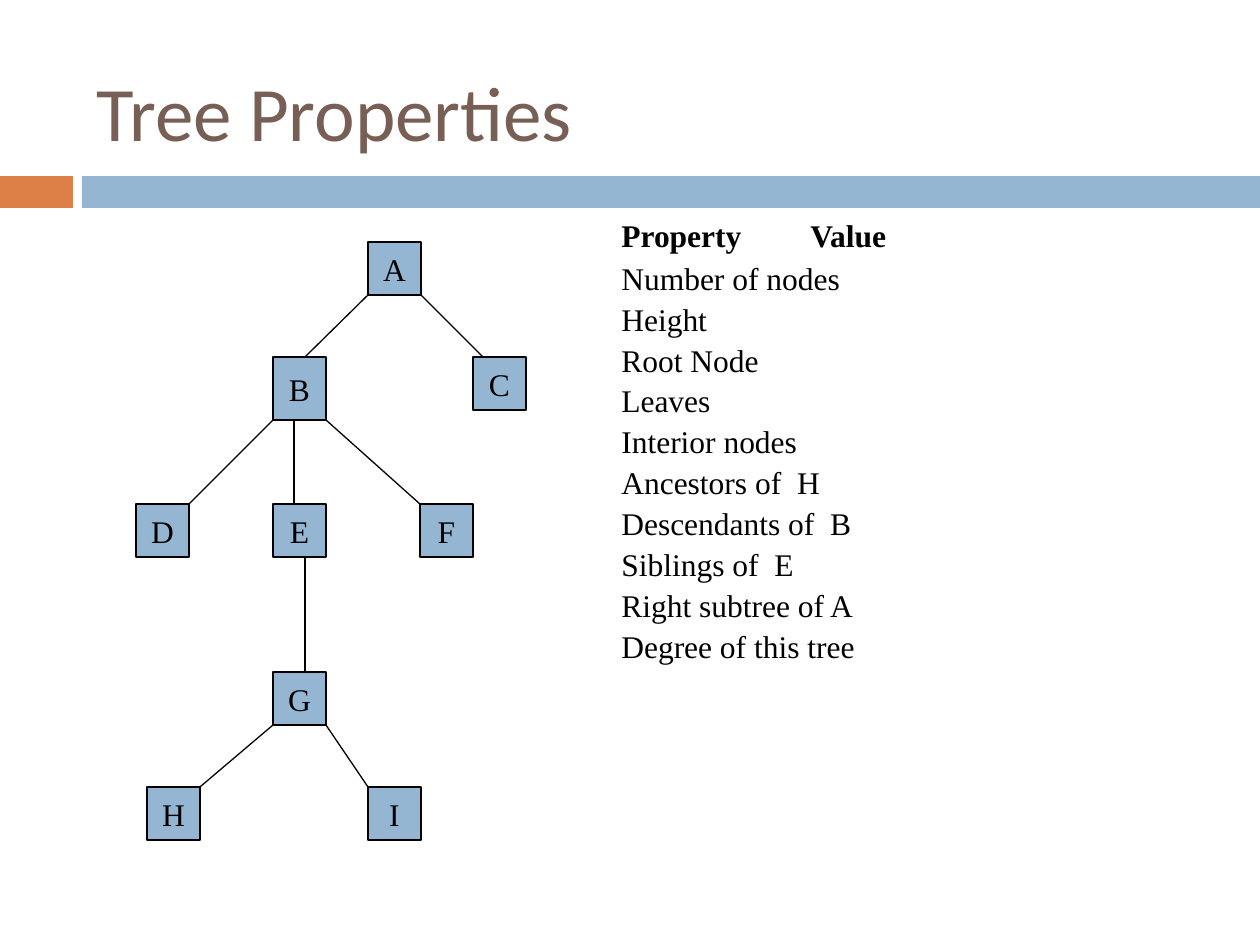
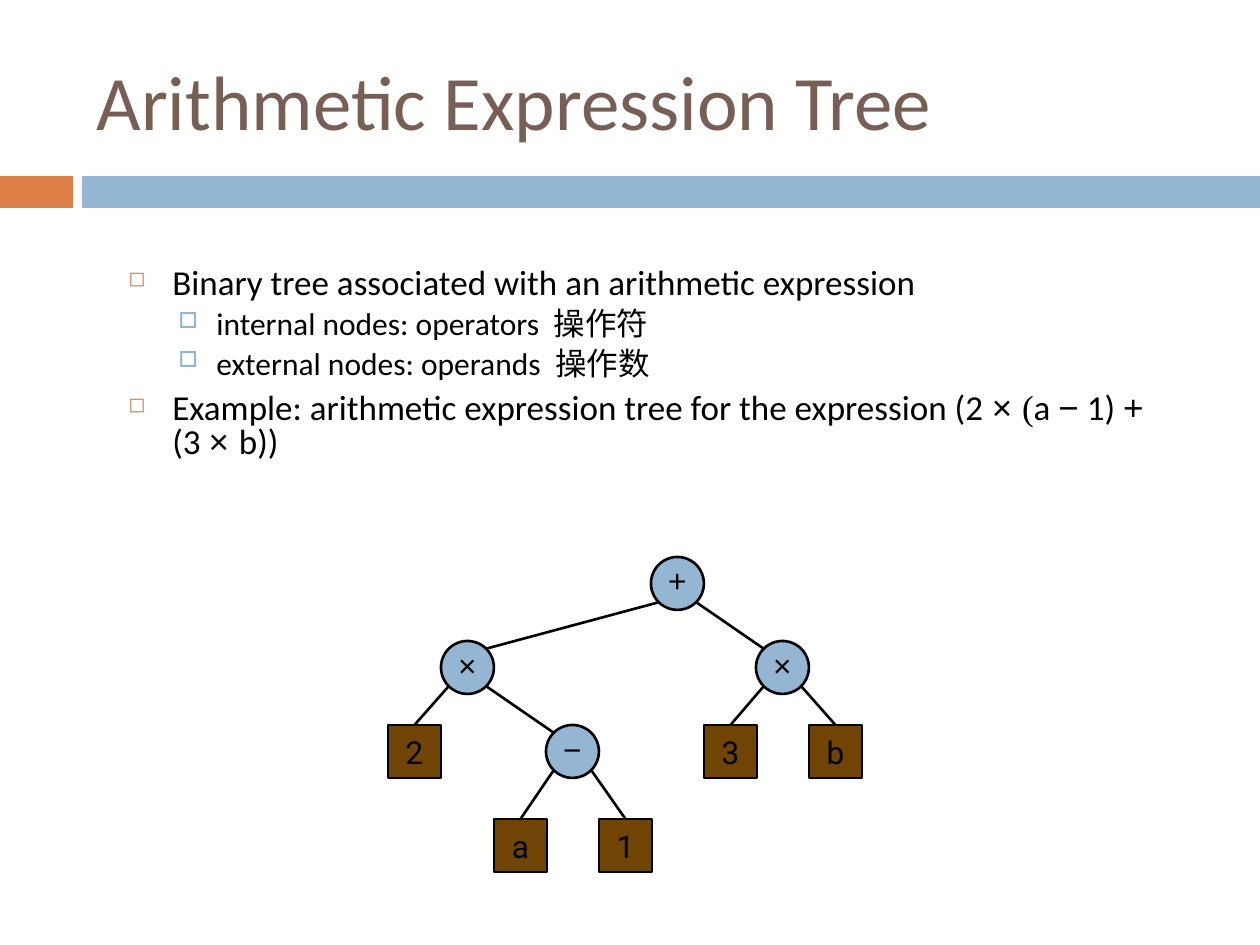
"""Build two slides on trees: tree properties and an arithmetic expression tree."""
import lxml.etree
import pptx
import pptx.dml.color
import pptx.enum.shapes
import pptx.enum.text
import pptx.oxml.ns
import pptx.util

RGBColor = pptx.dml.color.RGBColor
SHAPES = pptx.enum.shapes.MSO_SHAPE
ALIGN = pptx.enum.text.PP_ALIGN
ANCHOR = pptx.enum.text.MSO_ANCHOR

BLACK = RGBColor(0x00, 0x00, 0x00)
BLUE = RGBColor(0x94, 0xB6, 0xD2)
ORANGE = RGBColor(0xDD, 0x80, 0x47)
TAUPE = RGBColor(0x77, 0x5F, 0x55)
BROWN = RGBColor(0x70, 0x44, 0x04)

SANS, SERIF, SYMBOL, LEAF = "Calibri", "Times New Roman", "Arial", "Roboto"
PX_PER_INCH = 126
NODE = 53

BANDS = [((0, 176, 73, 32), ORANGE), ((82, 176, 1178, 32), BLUE)]

PROPERTY_NODES = {
    "A": (368, 242, NODE), "B": (273, 357, 63), "C": (473, 357, NODE),
    "D": (136, 504, NODE), "E": (273, 504, NODE), "F": (420, 504, NODE),
    "G": (273, 672, NODE), "H": (147, 787, NODE), "I": (368, 787, NODE),
}
PROPERTY_EDGES = [
    ("A", "B", 0, 32), ("A", "C", NODE, 10),
    ("B", "D", 0, NODE), ("B", "E", 21, 21), ("B", "F", NODE, 0),
    ("E", "G", 32, 32), ("G", "H", 0, NODE), ("G", "I", NODE, 0),
]
PROPERTY_HEADER = "Property\t\tValue"
PROPERTIES = [
    "Number of nodes", "Height", "Root Node", "Leaves", "Interior nodes",
    "Ancestors of  H", "Descendants of  B", "Siblings of  E",
    "Right subtree of A", "Degree of this tree",
]

BULLETS = [
    (0, [("Binary tree associated with an arithmetic expression", SANS)]),
    (1, [("internal nodes: operators  操作符", SANS)]),
    (1, [("external nodes: operands  操作数", SANS)]),
    (0, [("Example: arithmetic expression tree for the expression (2 ", SANS),
         ("× ", SYMBOL), ("(", SERIF), ("a ", SANS), ("−", SYMBOL),
         (" 1) ", SANS), ("+", SYMBOL), (" (3 ", SANS), ("× ", SYMBOL),
         ("b))", SANS)]),
]
BULLET_LEVELS = [
    dict(size=20, before=7, left=44, hanging=44, mark="◻", color=ORANGE, percent=60),
    dict(size=18, before=5.5, left=88, hanging=38, mark="□", color=BLUE, percent=70),
]

OPERATORS = {
    "sum": ("+", 651, 557), "left product": ("×", 441, 641),
    "right product": ("×", 756, 641), "difference": ("−", 546, 725),
}
OPERANDS = {
    "2": (388, 725), "a": (494, 819), "1": (599, 819),
    "3": (704, 725), "b": (809, 725),
}
EXPRESSION_EDGES = [
    ("sum", "left product", "right product"),
    ("left product", "2", "difference"),
    ("right product", "3", "b"),
    ("difference", "a", "1"),
]


def px(*lengths):
    """Turn px lengths into EMU."""
    return [pptx.util.Emu(round(length * 914400 / PX_PER_INCH)) for length in lengths]


def write(para, text, font=SANS, size=18, color=BLACK, bold=False):
    """Add one formatted span of text to a paragraph."""
    span = para.add_run()
    span.text = text
    span.font.name = font
    span.font.size = pptx.util.Pt(size)
    span.font.color.rgb = color
    span.font.bold = bold


def add_box(page, kind, place, fill, line_width=None):
    """Add a flat filled shape, outlined in black when a line width is given."""
    box = page.shapes.add_shape(kind, *px(*place))
    box.shadow.inherit = False
    box.fill.solid()
    box.fill.fore_color.rgb = fill
    if line_width is None:
        box.line.fill.background()
    else:
        box.line.color.rgb = BLACK
        box.line.width = pptx.util.Pt(line_width)
    return box


def add_node(page, kind, place, text, fill, line_width, font):
    """Add a tree node with a centred label."""
    box = add_box(page, kind, place, fill, line_width)
    frame = box.text_frame
    frame.word_wrap = False
    frame.vertical_anchor = ANCHOR.MIDDLE
    if kind == SHAPES.OVAL:
        frame.margin_left = frame.margin_top = frame.margin_right = 0
        frame.margin_bottom = px(6)[0]
    para = frame.paragraphs[0]
    para.alignment = ALIGN.CENTER
    write(para, text, font=font)
    return box


def add_edge(page, start, end, line_width):
    """Add a straight black line between two px points."""
    edge = page.shapes.add_connector(
        pptx.enum.shapes.MSO_CONNECTOR.STRAIGHT, *px(*start, *end))
    edge.line.color.rgb = BLACK
    edge.line.width = pptx.util.Pt(line_width)
    lxml.etree.SubElement(edge.element.spPr, pptx.oxml.ns.qn("a:effectLst"))
    return edge


def add_paragraphs(page, place, count):
    """Add a wrapping text box and return its paragraphs."""
    frame = page.shapes.add_textbox(*px(*place)).text_frame
    frame.word_wrap = True
    for _ in range(count - 1):
        frame.add_paragraph()
    return frame.paragraphs


def add_page(deck, title, place):
    """Add a slide with the shared title style."""
    page = deck.slides.add_slide(deck.slide_layouts[5])
    box = page.shapes.title
    box.left, box.top, box.width, box.height = px(*place)
    frame = box.text_frame
    frame.auto_size = pptx.enum.text.MSO_AUTO_SIZE.NONE
    frame.vertical_anchor = ANCHOR.MIDDLE
    para = frame.paragraphs[0]
    para.alignment = ALIGN.LEFT
    write(para, title, size=44, color=TAUPE)
    return page


def add_bands(page):
    """Draw the bands and move them to the layout that all slides share."""
    for place, fill in BANDS:
        band = add_box(page, SHAPES.RECTANGLE, place, fill)
        page.slide_layout.shapes.element.append(band.element)


def set_bullet(para, style):
    """Give a paragraph its hanging bullet mark."""
    properties = para._p.get_or_add_pPr()
    left, hanging = px(style["left"], style["hanging"])
    properties.set("marL", str(left))
    properties.set("indent", str(-hanging))
    qn = pptx.oxml.ns.qn
    color = lxml.etree.SubElement(properties, qn("a:buClr"))
    lxml.etree.SubElement(color, qn("a:srgbClr"), val=str(style["color"]))
    lxml.etree.SubElement(properties, qn("a:buSzPct"), val=str(style["percent"] * 1000))
    lxml.etree.SubElement(properties, qn("a:buChar"), char=style["mark"])


def fill_properties(page):
    """Draw the lettered tree and the list of its properties."""
    for letter, (left, top, height) in PROPERTY_NODES.items():
        add_node(page, SHAPES.RECTANGLE, (left, top, NODE, height), letter,
                 BLUE, 0.75, SERIF)
    for parent, child, start_offset, end_offset in PROPERTY_EDGES:
        left, top, height = PROPERTY_NODES[parent]
        child_left, child_top, _ = PROPERTY_NODES[child]
        add_edge(page, (left + start_offset, top + height),
                 (child_left + end_offset, child_top), 0.75)

    header, *rows = add_paragraphs(page, (609, 210, 567, 643), len(PROPERTIES) + 1)
    header.space_before = pptx.util.Pt(9)
    write(header, PROPERTY_HEADER, font=SERIF, bold=True)
    for para, name in zip(rows, PROPERTIES):
        para.line_spacing = 0.6
        para.space_before = pptx.util.Pt(10.4)
        write(para, name, font=SERIF)


def fill_expression(page):
    """Write the bullets and draw the expression tree."""
    paragraphs = add_paragraphs(page, (116, 262, 1071, 226), len(BULLETS))
    for para, (level, spans) in zip(paragraphs, BULLETS):
        style = BULLET_LEVELS[level]
        para.level = level
        para.line_spacing = 0.8
        para.space_before = pptx.util.Pt(style["before"])
        set_bullet(para, style)
        for text, font in spans:
            write(para, text, font=font, size=style["size"])

    centers = {}
    for name, (sign, left, top) in OPERATORS.items():
        add_node(page, SHAPES.OVAL, (left, top, NODE, NODE), sign, BLUE, 1.5, SYMBOL)
        centers[name] = (left + NODE / 2, top + NODE / 2)
    leaves = {}
    for name, (left, top) in OPERANDS.items():
        leaves[name] = add_node(page, SHAPES.RECTANGLE, (left, top, NODE, NODE),
                                name, BROWN, 1.5, LEAF)
        centers[name] = (left + NODE / 2, top + NODE / 2)

    diagonal = NODE / 2 * 0.71
    for parent, *children in EXPRESSION_EDGES:
        for child, side in zip(children, (-1, 1)):
            x, y = centers[parent]
            child_x, child_y = centers[child]
            edge = add_edge(page, (x + side * diagonal, y + diagonal),
                            (child_x - side * diagonal, child_y - diagonal), 1.5)
            if child in leaves:
                edge.end_connect(leaves[child], 0)


def main():
    """Build and save the deck."""
    deck = pptx.Presentation()
    deck.slide_width, deck.slide_height = px(1260, 945)
    properties_page = add_page(deck, "Tree Properties", (84, 53, 1071, 116))
    add_bands(properties_page)
    fill_properties(properties_page)
    fill_expression(add_page(deck, "Arithmetic Expression Tree", (84, 32, 1124, 136)))
    deck.save("out.pptx")


if __name__ == "__main__":
    main()
